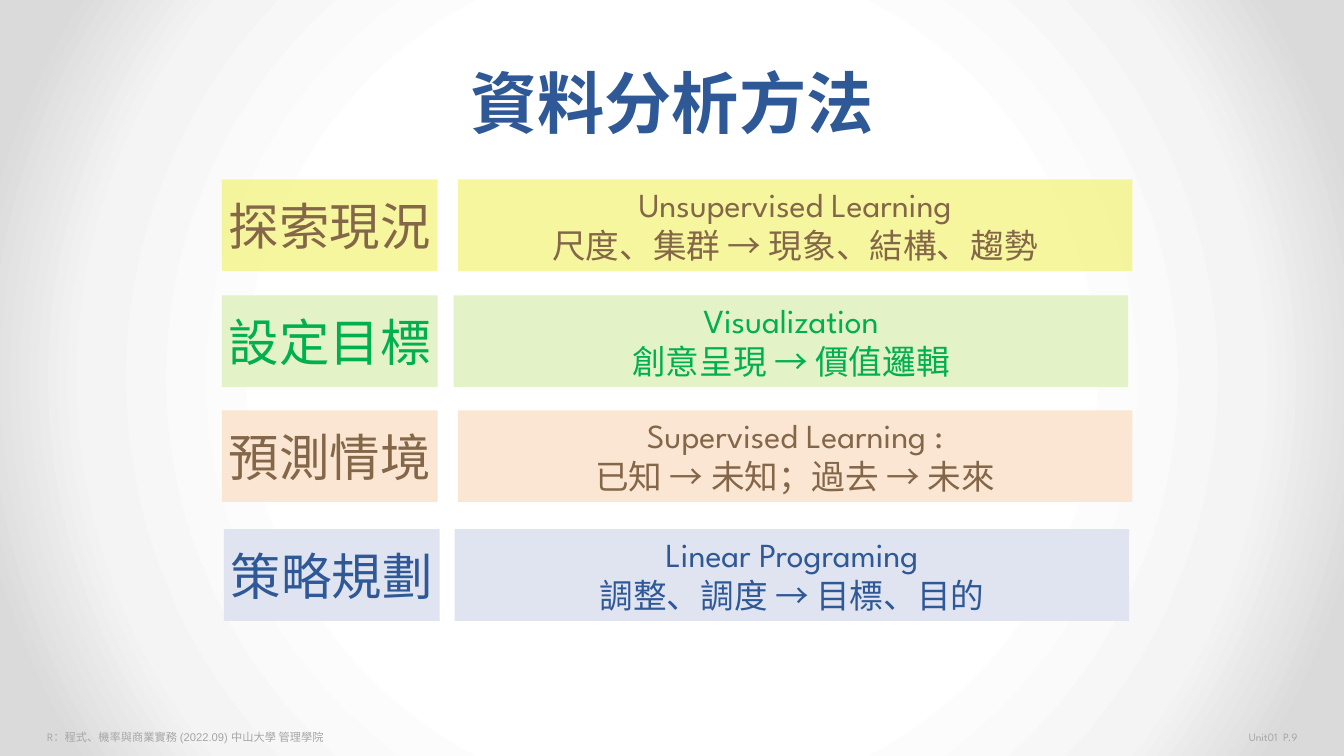
from lxml.etree import SubElement
from pptx import Presentation
from pptx.dml.color import RGBColor
from pptx.enum.shapes import MSO_SHAPE
from pptx.enum.text import MSO_ANCHOR, MSO_AUTO_SIZE, PP_ALIGN
from pptx.oxml.ns import qn
from pptx.util import Inches, Pt

# Content
TITLE = "資料分析方法"
# top, label left, detail left, fill, opacity %, text colour, label, detail lines
ROWS = [
    (1.78, 2.2, 4.54, "EFEF3F", 50, "846648", "探索現況",
     ["Unsupervised Learning", "尺度、集群 → 現象、結構、趨勢"]),
    (2.93, 2.2, 4.5, "E3F2C7", 100, "00B050", "設定目標",
     ["Visualization", "創意呈現 → 價值邏輯"]),
    (4.07, 2.2, 4.54, "FAE6D3", 100, "846648", "預測情境",
     ["Supervised Learning :", "已知 → 未知；過去 → 未來"]),
    (5.25, 2.22, 4.51, "DFE4F0", 100, "2F5897", "策略規劃",
     ["Linear Programing", "調整、調度 → 目標、目的"]),
]
COURSE = ("R", "：程式、機率與商業實務 (2022.09) 中山大學 管理學院")
PAGE = "Unit01  P.9"
GLOW = [(0, "FFFFFF"), (50, "FFFFFF"), (76, "F4F4F4"), (92, "DADADA"), (100, "DADADA")]
LATIN, HAN = "League Spartan", "Noto Sans CJK SC"
LABEL_W, DETAIL_W, ROW_H = 2.14, 6.69, 0.91


def color(code):
    return RGBColor.from_string(code)


def style(font, size, code, name=LATIN, bold=False):
    font.size, font.bold, font.name = Pt(size), bold, name
    font.color.rgb = color(code)
    SubElement(font._rPr, qn("a:ea"), typeface=HAN)


def write(frame, lines, size, code, name=LATIN, align=PP_ALIGN.CENTER, bold=False):
    frame.auto_size = MSO_AUTO_SIZE.NONE
    frame.text = "\n".join(lines)
    for para in frame.paragraphs:
        para.alignment = align
        style(para.font, size, code, name, bold)


def add_bar(left, top, width, fill, alpha):
    bar = slide.shapes.add_shape(MSO_SHAPE.RECTANGLE, Inches(left), Inches(top),
                                 Inches(width), Inches(ROW_H))
    bar.shadow.inherit = False
    bar.fill.solid()
    bar.fill.fore_color.rgb = color(fill)
    bar.line.fill.background()
    if alpha < 100:
        tint = bar._element.spPr.find(qn("a:solidFill"))[0]
        SubElement(tint, qn("a:alpha"), val=str(alpha * 1000))
    return bar.text_frame


def add_note(left, width):
    frame = slide.shapes.add_textbox(Inches(left), Inches(7.2), Inches(width),
                                     Inches(0.24)).text_frame
    frame.word_wrap = True
    return frame


deck = Presentation()
deck.slide_width, deck.slide_height = Inches(13.33), Inches(7.5)
slide = deck.slides.add_slide(deck.slide_layouts[5])

# Round background glow
slide.background.fill.gradient()
grad = slide._element.find(".//" + qn("a:gradFill"))
for part in list(grad):
    grad.remove(part)
stops = SubElement(grad, qn("a:gsLst"))
for pos, code in GLOW:
    stop = SubElement(stops, qn("a:gs"), pos=str(pos * 1000))
    SubElement(stop, qn("a:srgbClr"), val=code)
round_way = SubElement(grad, qn("a:path"), path="circle")
SubElement(round_way, qn("a:fillToRect"), l="50000", t="50000", r="50000", b="50000")

# Title
title = slide.shapes.title
title.left, title.top = Inches(1.39), Inches(0.52)
title.width, title.height = Inches(10.55), Inches(0.94)
write(title.text_frame, [TITLE], 48, "2F5897", bold=True)
title.text_frame.vertical_anchor = MSO_ANCHOR.BOTTOM

# Method rows
for top, left, right, fill, alpha, ink, label, lines in ROWS:
    frame = add_bar(left, top, LABEL_W, fill, alpha)
    write(frame, [label], 36, ink, HAN)
    frame.word_wrap = False
    frame.vertical_anchor = MSO_ANCHOR.MIDDLE
    frame = add_bar(right, top, DETAIL_W, fill, alpha)
    write(frame, lines, 24, ink)
    frame.word_wrap = True
    frame.vertical_anchor = MSO_ANCHOR.TOP

# Footer
para = add_note(0.37, 2.99).paragraphs[0]
for text, name in zip(COURSE, (LATIN, "Arial")):
    run = para.add_run()
    run.text = text
    style(run.font, 8, "A6A6A6", name)
write(add_note(10.03, 2.94), [PAGE], 8, "A6A6A6", align=PP_ALIGN.RIGHT)

deck.save("out.pptx")
